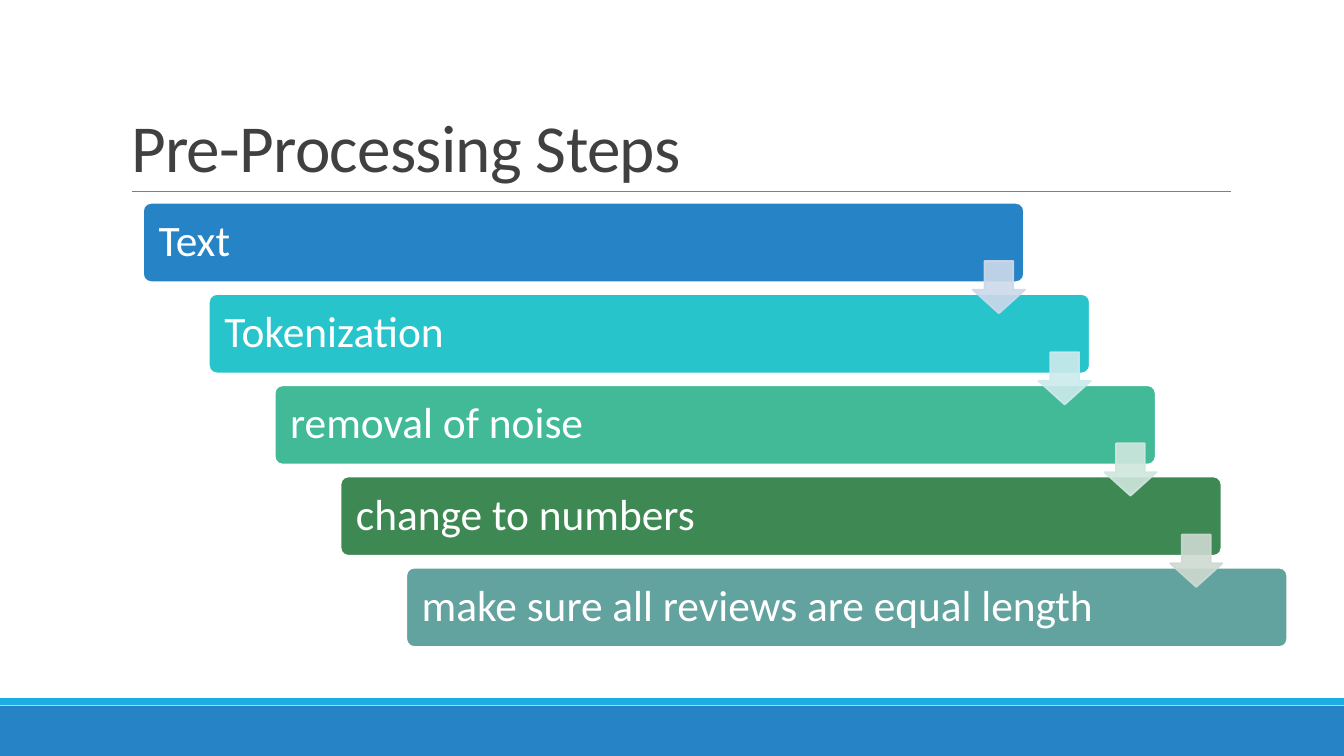
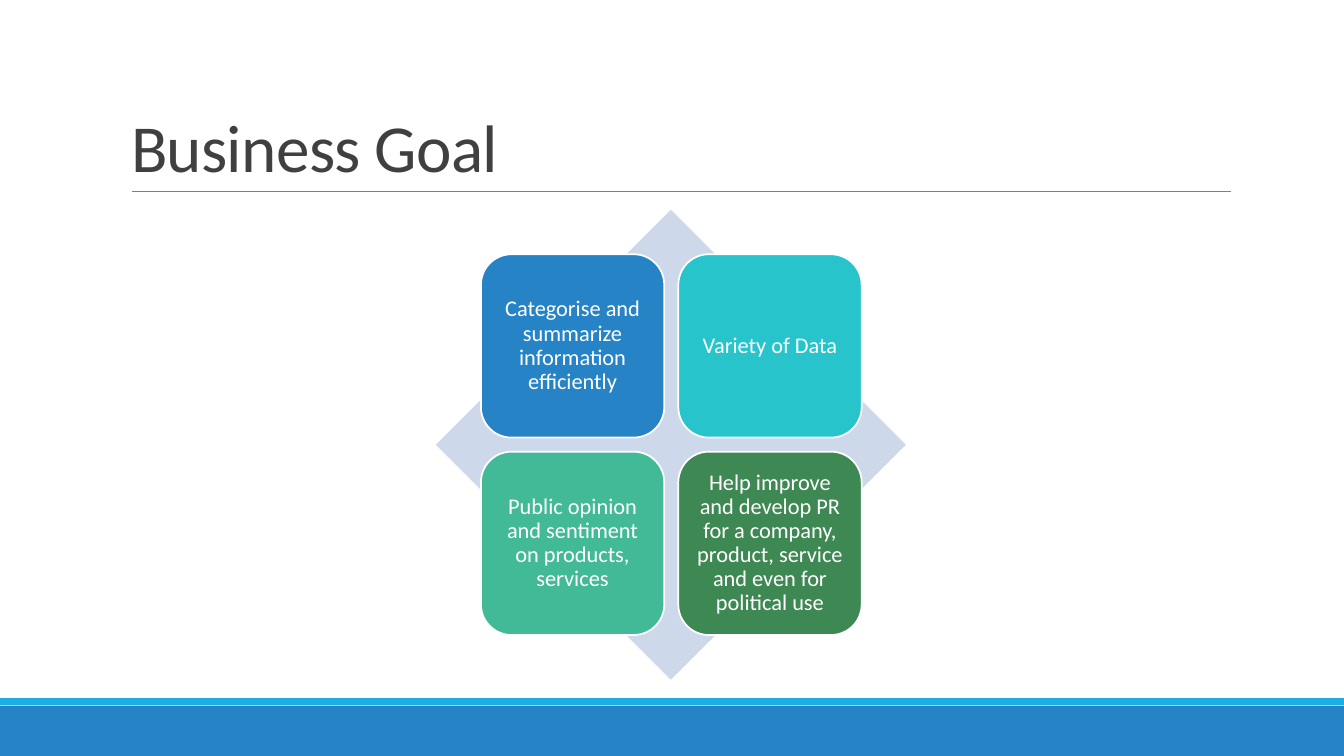
from pptx import Presentation
from pptx.dml.color import RGBColor
from pptx.enum.shapes import MSO_CONNECTOR, MSO_SHAPE
from pptx.enum.text import MSO_ANCHOR, MSO_AUTO_SIZE, PP_ALIGN
from pptx.oxml.ns import qn
from pptx.util import Pt
from lxml.etree import SubElement

FONT = "Calibri"
WHITE = RGBColor(0xFF, 0xFF, 0xFF)
DARK = RGBColor(0x40, 0x40, 0x40)
GREY = RGBColor(0x80, 0x80, 0x80)
BLUE = RGBColor(0x26, 0x83, 0xC6)
SKY = RGBColor(0x1C, 0xAD, 0xE4)
TEAL = RGBColor(0x28, 0xC4, 0xCC)
MINT = RGBColor(0x42, 0xBA, 0x97)
GREEN = RGBColor(0x3E, 0x88, 0x53)
SAGE = RGBColor(0x62, 0xA3, 0x9F)
PALE_BLUE = RGBColor(0xCD, 0xD9, 0xEA)
PALE_TEAL = RGBColor(0xCD, 0xEA, 0xEC)
PALE_MINT = RGBColor(0xCF, 0xE7, 0xDD)
PALE_GREEN = RGBColor(0xCE, 0xDA, 0xD1)

deck = Presentation()
deck.slide_width, deck.slide_height = Pt(960), Pt(540)


def add_box(slide, kind, left, top, width, height, fill, line=None,
            text="", size=16, inset=5, align=PP_ALIGN.CENTER):
    box = slide.shapes.add_shape(kind, Pt(left), Pt(top), Pt(width), Pt(height))
    box.shadow.inherit = False
    box.fill.solid()
    box.fill.fore_color.rgb = fill
    if line is None:
        box.line.fill.background()
    else:
        box.line.color.rgb = line
        box.line.width = Pt(1.25)
    if text:
        frame = box.text_frame
        frame.text = text
        frame.word_wrap = True
        frame.vertical_anchor = MSO_ANCHOR.MIDDLE
        frame.margin_left = frame.margin_right = Pt(inset)
        frame.margin_top = frame.margin_bottom = Pt(inset)
        para = frame.paragraphs[0]
        para.alignment = align
        para.line_spacing = 0.9
        font = para.runs[0].font
        font.name, font.size, font.color.rgb = FONT, Pt(size), WHITE
    return box


def start_slide(text):
    slide = deck.slides.add_slide(deck.slide_layouts[5])
    # Bottom bands
    add_box(slide, MSO_SHAPE.RECTANGLE, 0, 504, 960, 36, BLUE)
    add_box(slide, MSO_SHAPE.RECTANGLE, 0, 498.7, 960, 4.8, SKY)
    # Rule under the title
    rule = slide.shapes.add_connector(
        MSO_CONNECTOR.STRAIGHT, Pt(94.3), Pt(136.6), Pt(879), Pt(136.6))
    rule.line.color.rgb = GREY
    rule.line.width = Pt(0.5)
    SubElement(rule._element.spPr, qn("a:effectLst"))
    # Title
    title = slide.shapes.title
    title.left, title.top = Pt(86.4), Pt(22.5)
    title.width, title.height = Pt(792), Pt(114.2)
    frame = title.text_frame
    frame.text = text
    frame.auto_size = MSO_AUTO_SIZE.NONE
    frame.vertical_anchor = MSO_ANCHOR.BOTTOM
    para = frame.paragraphs[0]
    para.alignment = PP_ALIGN.LEFT
    para.line_spacing = 0.85
    run = para.runs[0]
    run.font.name, run.font.size, run.font.color.rgb = FONT, Pt(48), DARK
    run._r.get_or_add_rPr().set("spc", "-50")
    return slide


# Slide 1: staircase of steps
slide = start_slide("Pre-Processing Steps")
STEP_X, STEP_Y = 47, 65.15
steps = [
    ("Text", BLUE),
    ("Tokenization", TEAL),
    ("removal of noise", MINT),
    ("change to numbers", GREEN),
    ("make sure all reviews are equal length", SAGE),
]
for i, (text, fill) in enumerate(steps):
    bar = add_box(slide, MSO_SHAPE.ROUNDED_RECTANGLE,
                  102.2 + i * STEP_X, 144.9 + i * STEP_Y, 629.3, 56.7,
                  fill, WHITE, text, 31, 9.4, PP_ALIGN.LEFT)
    bar.adjustments[0] = 0.1

# Arrows between the steps
for i, tint in enumerate([PALE_BLUE, PALE_TEAL, PALE_MINT, PALE_GREEN]):
    arrow = add_box(slide, MSO_SHAPE.DOWN_ARROW,
                    694.8 + i * STEP_X, 186.4 + i * STEP_Y, 37.4, 37.4,
                    tint, tint)
    arrow.adjustments[0], arrow.adjustments[1] = 0.55, 0.45
    for color in arrow._element.spPr.iter(qn("a:srgbClr")):
        SubElement(color, qn("a:alpha")).set("val", "90000")

# Slide 2: four goals on a diamond
slide = start_slide("Business Goal")
add_box(slide, MSO_SHAPE.DIAMOND, 311.3, 149.8, 335.7, 335.7, PALE_BLUE)
goals = [
    ("Categorise and summarize information efficiently", BLUE),
    ("Variety of Data", TEAL),
    ("Public opinion and sentiment on products, services", MINT),
    ("Help improve and develop PR for a company, product, service "
     "and even for political use", GREEN),
]
for i, (text, fill) in enumerate(goals):
    row, col = divmod(i, 2)
    add_box(slide, MSO_SHAPE.ROUNDED_RECTANGLE,
            343.5 + col * 141, 181.6 + row * 141, 131, 131,
            fill, WHITE, text)

deck.save("out.pptx")
